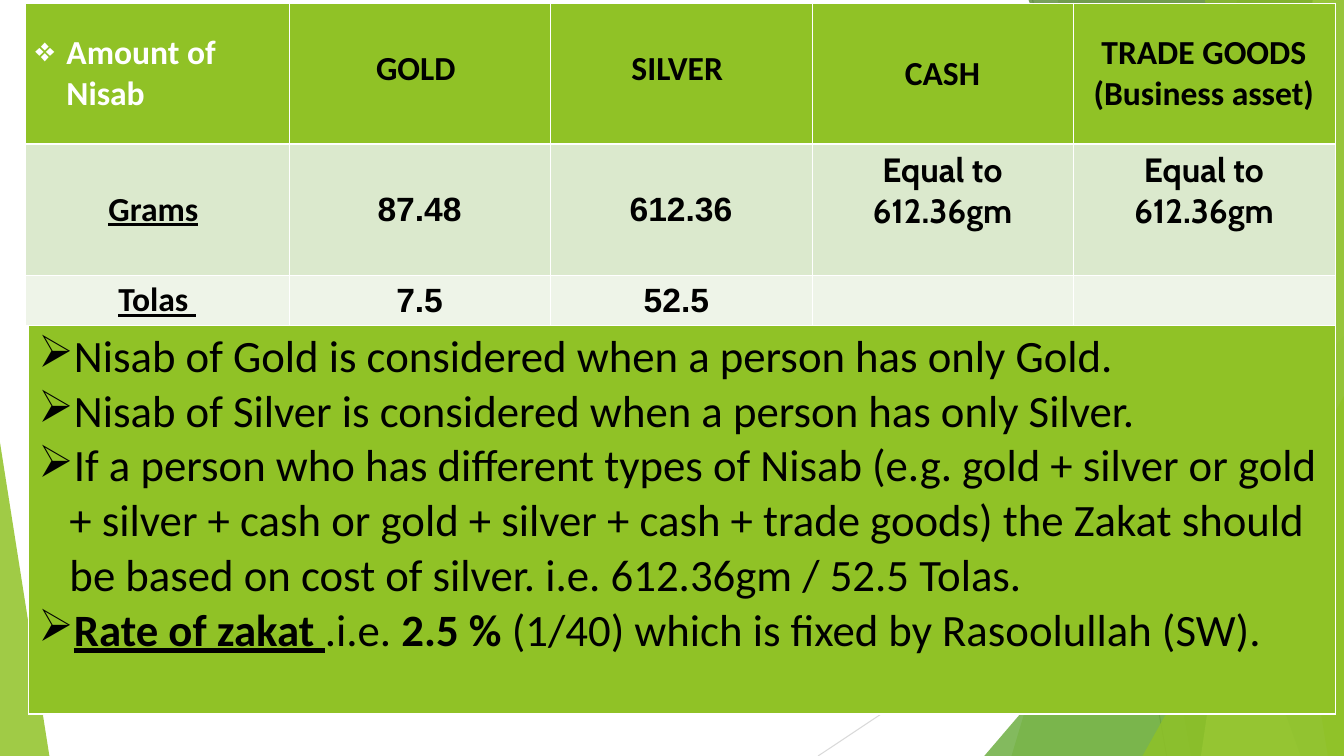
from lxml import etree
from pptx import Presentation
from pptx.dml.color import RGBColor
from pptx.enum.shapes import MSO_CONNECTOR, MSO_SHAPE
from pptx.enum.text import MSO_ANCHOR, PP_ALIGN
from pptx.oxml.ns import qn
from pptx.util import Pt

STRAIGHT = MSO_CONNECTOR.STRAIGHT
TRIANGLE = MSO_SHAPE.ISOSCELES_TRIANGLE
MIDDLE, TOP = MSO_ANCHOR.MIDDLE, MSO_ANCHOR.TOP
CENTER, LEFT = PP_ALIGN.CENTER, PP_ALIGN.LEFT

PX = 9144
WIDTH, HEIGHT = 1334, 750
BLANK_LAYOUT = 6
INDENT = 31
THIN, THICK = 0.45, 1.47
COLORS = {
    "white": "FFFFFF", "black": "000000", "green": "90C226", "leaf": "54A021",
    "forest": "3F7819", "lime": "C0E474", "grams": "DBE9CD", "tolas": "EEF4E8",
    "gray": "BFBFBF", "pale gray": "D9D9D9",
}

COLUMN_WIDTHS = (262, 259, 260, 259, 260)
ROWS = [
    {"height": 140, "fill": "green", "borders": (THIN, THICK)},
    {"height": 130, "fill": "grams", "borders": (THICK, THIN)},
    {"height": 50, "fill": "tolas", "borders": (THIN, THIN)},
]
BOLD = {"bold": True}
UNDERLINED = {"bold": True, "underline": True}
ARIAL = {"bold": True, "font": "Arial"}
CABIN = {"bold": True, "font": "Cabin"}
EQUAL_TO_SILVER = {"paras": [[("Equal to", CABIN)], [("612.36gm", CABIN)]], "bottom": 41}
NISAB_CELLS = [
    [
        {"paras": [[("Amount of Nisab", {"bold": True, "color": "white"})]], "bullet": "❖"},
        {"paras": [[("GOLD ", BOLD)]], "bottom": 13},
        {"paras": [[("SILVER ", BOLD)]], "bottom": 13},
        {"paras": [[("CASH", BOLD)]]},
        {"paras": [[("TRADE GOODS", BOLD)], [("(Business asset)", BOLD)]]},
    ],
    [
        {"paras": [[("Grams", UNDERLINED), (" ", BOLD)]]},
        {"paras": [[("87.48", ARIAL)]]},
        {"paras": [[(" 612.36 ", ARIAL)]]},
        EQUAL_TO_SILVER,
        EQUAL_TO_SILVER,
    ],
    [
        {"paras": [[("Tolas ", UNDERLINED)]]},
        {"paras": [[("7.5", ARIAL)]]},
        {"paras": [[("52.5 ", ARIAL)]]},
        {"paras": []},
        {"paras": []},
    ],
]
RULES = [
    [("Nisab of Gold is considered when a person has only Gold.", {})],
    [("Nisab of Silver is considered when a person has only Silver.", {})],
    [("If a person who has different types of Nisab (e.g. gold + silver or gold "
      "+ silver + cash or gold + silver + cash + trade goods) the Zakat should "
      "be based on cost of silver. i.e. 612.36gm / 52.5 Tolas.", {})],
    [("Rate of zakat ", UNDERLINED), (".i.e. ", {}), ("2.5 %", BOLD),
     (" (1/40) which is fixed by Rasoolullah (SW).", {})],
]


def rgb(name):
    """Return the named colour."""
    return RGBColor.from_string(COLORS[name])


def emu(*lengths):
    """Turn pixel lengths into EMU."""
    return [length * PX for length in lengths]


def paint(shape, color, opacity):
    """Give a shape a translucent fill without line or shadow."""
    shape.shadow.inherit = False
    shape.line.fill.background()
    shape.fill.solid()
    shape.fill.fore_color.rgb = rgb(color)
    tint = shape.fill._xPr.find(".//" + qn("a:srgbClr"))
    etree.SubElement(tint, qn("a:alpha"), val=str(opacity * 1000))


def add_line(page, ends, color):
    """Draw a thin straight line."""
    line = page.shapes.add_connector(STRAIGHT, *emu(*ends))
    line.line.color.rgb = rgb(color)
    line.line.width = Pt(0.75)
    etree.SubElement(line._element.spPr, qn("a:effectLst"))


def add_band(page, box, top_left, bottom_left, color, opacity):
    """Draw a slanted band that reaches the right edge of the box."""
    left, top, width, height = box
    right, bottom = left + width, top + height
    builder = page.shapes.build_freeform(left + top_left, top, scale=PX)
    builder.add_line_segments(
        [(right, top), (right, bottom), (left + bottom_left, bottom)])
    paint(builder.convert_to_shape(), color, opacity)


def add_triangle(page, box, apex, color, opacity):
    """Draw a right triangle with its apex at the given share of the width."""
    triangle = page.shapes.add_shape(TRIANGLE, *emu(*box))
    triangle.adjustments[0] = apex
    paint(triangle, color, opacity)


def add_backdrop(page, box):
    """Draw the facets behind the tables."""
    left, top, width, height = box
    right, bottom = left + width, top + height
    add_line(page, (right - 309, top, right - 176, bottom), "gray")
    add_line(page, (right, top + 403, right - 522, bottom), "pale gray")
    add_band(page, box, 1228, 1004, "green", 30)
    add_band(page, box, 1050, 1182, "green", 20)
    add_triangle(page, (right - 357, bottom - 417, 357, 417), 1, "leaf", 72)
    add_band(page, box, 1021, 1291, "forest", 70)
    add_band(page, box, 1303, 1192, "lime", 70)
    add_band(page, box, 1196, 1318, "green", 65)
    add_triangle(page, (right - 200, bottom - 357, 200, 357), 1, "green", 80)
    add_triangle(page, (left, bottom - 311, 49, 311), 0, "green", 85)


def add_bullet(para, sign, color):
    """Give a paragraph a hanging bullet."""
    properties = para._p.get_or_add_pPr()
    properties.set("marL", str(INDENT * PX))
    properties.set("indent", str(-INDENT * PX))
    tint = etree.SubElement(properties, qn("a:buClr"))
    etree.SubElement(tint, qn("a:srgbClr"), val=COLORS[color])
    etree.SubElement(properties, qn("a:buChar"), char=sign)


def add_borders(cell, top, bottom):
    """Draw white lines on the four sides of a cell."""
    properties = cell._tc.get_or_add_tcPr()
    for side, points in zip("LRTB", (THIN, THIN, top, bottom)):
        line = etree.SubElement(properties, qn("a:ln" + side), w=str(Pt(points)))
        fill = etree.SubElement(line, qn("a:solidFill"))
        etree.SubElement(fill, qn("a:srgbClr"), val=COLORS["white"])


def fill_cell(cell, content, fill, borders, size, anchor=MIDDLE):
    """Style a cell and write its paragraphs run by run."""
    add_borders(cell, *borders)
    cell.fill.solid()
    cell.fill.fore_color.rgb = rgb(fill)
    cell.vertical_anchor = anchor
    cell.margin_left, cell.margin_right = emu(10, 10)
    cell.margin_top, cell.margin_bottom = emu(4, content.get("bottom", 4))
    bullet = content.get("bullet")
    for index, runs in enumerate(content["paras"]):
        frame = cell.text_frame
        para = frame.add_paragraph() if index else frame.paragraphs[0]
        para.alignment = LEFT if bullet else CENTER
        if bullet:
            add_bullet(para, bullet, runs[0][1].get("color", "black"))
        for text, style in runs:
            span = para.add_run()
            span.text = text
            span.font.size = Pt(size)
            span.font.name = style.get("font", "Calibri")
            span.font.bold = style.get("bold", False)
            span.font.underline = style.get("underline", False)
            span.font.color.rgb = rgb(style.get("color", "black"))


def add_plain_table(page, box, row_count, column_count):
    """Add a table without banding."""
    table = page.shapes.add_table(row_count, column_count, *emu(*box)).table
    table.first_row = table.horz_banding = False
    return table


def add_nisab_table(page, box):
    """Add the table of Nisab amounts."""
    table = add_plain_table(page, box, len(ROWS), len(COLUMN_WIDTHS))
    for column, width in zip(table.columns, COLUMN_WIDTHS):
        column.width = width * PX
    for row, look, contents in zip(table.rows, ROWS, NISAB_CELLS):
        row.height = look["height"] * PX
        for cell, content in zip(row.cells, contents):
            fill_cell(cell, content, look["fill"], look["borders"], 24)


def add_rules_table(page, box):
    """Add the one-cell table of rules."""
    table = add_plain_table(page, box, 1, 1)
    content = {"paras": RULES, "bullet": "➢"}
    fill_cell(table.cell(0, 0), content, "green", (THIN, THICK), 32, TOP)


def main():
    """Build and save the deck."""
    deck = Presentation()
    deck.slide_width, deck.slide_height = emu(WIDTH, HEIGHT)
    page = deck.slides.add_slide(deck.slide_layouts[BLANK_LAYOUT])
    add_backdrop(page, (0, 0, WIDTH, HEIGHT))
    add_nisab_table(page, (25, 3, 1300, 320))
    add_rules_table(page, (28, 323, 1297, 385))
    deck.save("out.pptx")


if __name__ == "__main__":
    main()
